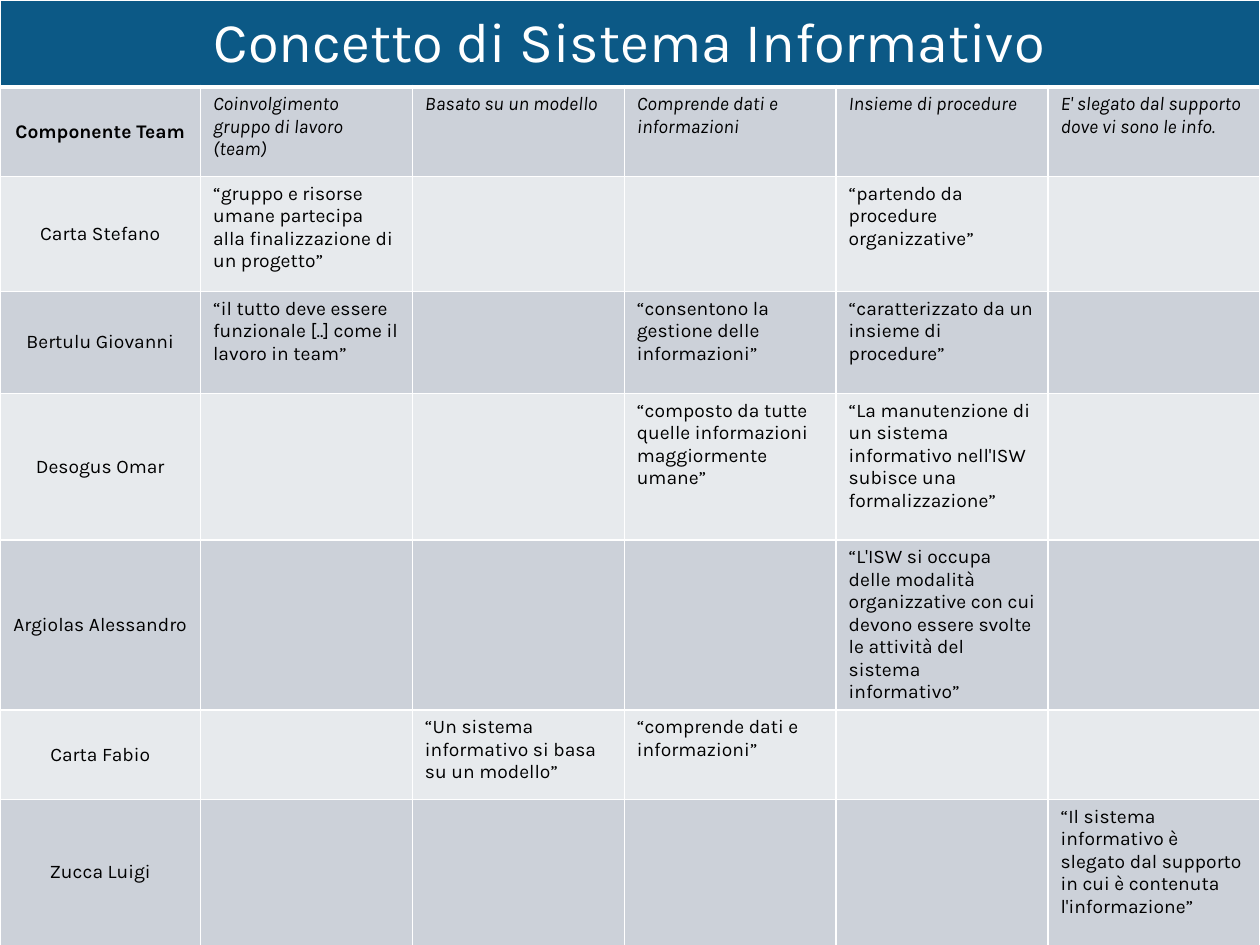
from dataclasses import dataclass

import pptx
import pptx.dml.color
import pptx.enum.text
import pptx.oxml
import pptx.oxml.ns
import pptx.util

TITLE = "Concetto di Sistema Informativo"
HEADS = ["Componente Team", "Coinvolgimento gruppo di lavoro (team)",
         "Basato su un modello", "Comprende dati e informazioni",
         "Insieme di procedure", "E' slegato dal supporto dove vi sono le info."]
TEAM = [
    ("Carta Stefano", {
        1: "“gruppo e risorse umane partecipa alla finalizzazione di un progetto”",
        4: "“partendo da procedure organizzative”"}),
    ("Bertulu Giovanni", {
        1: "“il tutto deve essere funzionale [..] come il lavoro in team”",
        3: "“consentono la gestione delle informazioni”",
        4: "“caratterizzato da un insieme di procedure”"}),
    ("Desogus Omar", {
        3: "“composto da tutte quelle informazioni maggiormente umane”",
        4: "“La manutenzione di un sistema informativo nell'ISW subisce una "
           "formalizzazione”"}),
    ("Argiolas Alessandro", {
        4: "“L'ISW si occupa delle modalità organizzative con cui devono essere "
           "svolte le attività del sistema informativo”"}),
    ("Carta Fabio", {
        2: "“Un sistema informativo si basa su un modello”",
        3: "“comprende dati e informazioni”"}),
    ("Zucca Luigi", {
        5: "“Il sistema informativo è slegato dal supporto in cui è contenuta "
           "l'informazione”"}),
]
COLS = [1.59] + [1.68] * 5
ROWS = [0.69, 0.71, 0.91, 0.81, 1.16, 1.34, 0.71, 1.16]


@dataclass
class Theme:
    font: str = "Karla"
    head: int = 32
    body: int = 11
    blue: str = "0C5986"
    bands: tuple = ("CCD1D9", "E7EAED")
    white: str = "FFFFFF"
    black: str = "000000"
    line: int = 1
    rule: int = 3


class Deck:
    """Hold the theme and the current slide, and draw the table on it."""

    def __init__(self, theme, wide, high):
        self.theme = theme
        self.file = pptx.Presentation()
        self.file.slide_width = pptx.util.Inches(wide)
        self.file.slide_height = pptx.util.Inches(high)
        self.slide = self.file.slides.add_slide(self.file.slide_layouts[6])

    def table(self, cols, rows):
        wide, high = self.file.slide_width, self.file.slide_height
        grid = self.slide.shapes.add_table(len(rows), len(cols), 0, 0, wide, high).table
        grid.first_row = grid.horz_banding = False
        for col, share in zip(grid.columns, cols):
            col.width = round(wide * share / sum(cols))
        for row, share in zip(grid.rows, rows):
            row.height = round(high * share / sum(rows))
        return grid

    def edge(self, cell, base):
        props = cell._tc.get_or_add_tcPr()
        for side in "LRTB":
            width = pptx.util.Pt(base if side == "B" else self.theme.line)
            props.append(pptx.oxml.parse_xml(
                f'<a:ln{side} {pptx.oxml.ns.nsdecls("a")} w="{width}"><a:solidFill>'
                f'<a:srgbClr val="{self.theme.white}"/></a:solidFill></a:ln{side}>'))

    def cell(self, cell, text, fill, size, ink, mid=False, bold=False, slant=False,
             base=None):
        self.edge(cell, base or self.theme.line)
        cell.fill.solid()
        cell.fill.fore_color.rgb = pptx.dml.color.RGBColor.from_string(fill)
        cell.text = text
        para = cell.text_frame.paragraphs[0]
        if mid:
            cell.vertical_anchor = pptx.enum.text.MSO_ANCHOR.MIDDLE
            para.alignment = pptx.enum.text.PP_ALIGN.CENTER
        font = para.font
        font.name, font.size = self.theme.font, pptx.util.Pt(size)
        font.bold, font.italic = bold, slant
        font.color.rgb = pptx.dml.color.RGBColor.from_string(ink)


def main():
    theme = Theme()
    deck = Deck(theme, 10, 7.5)
    grid = deck.table(COLS, ROWS)
    grid.cell(0, 0).merge(grid.cell(0, len(COLS) - 1))
    for col in range(len(COLS)):
        deck.cell(grid.cell(0, col), "" if col else TITLE, theme.blue, theme.head,
                  theme.white, mid=True, base=theme.rule)
    lines = [HEADS] + [[name] + [said.get(col, "") for col in range(1, len(COLS))]
                       for name, said in TEAM]
    for row, line in enumerate(lines):
        for col, text in enumerate(line):
            deck.cell(grid.cell(row + 1, col), text, theme.bands[row % 2], theme.body,
                      theme.black, mid=col == 0, bold=row == 0 and col == 0,
                      slant=row == 0 and col > 0)
    deck.file.save("out.pptx")


if __name__ == "__main__":
    main()
